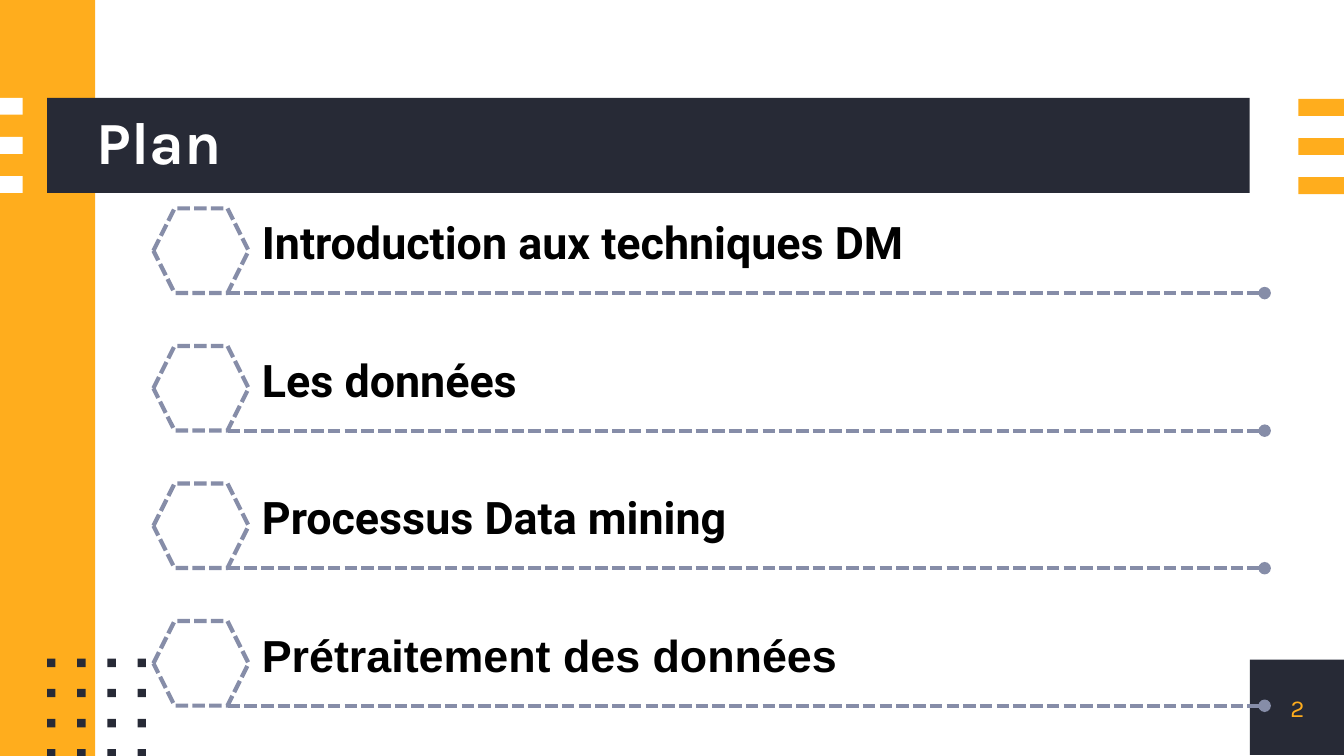
"""Build the course plan slide: a title bar and four dashed topic rows."""
from lxml import etree
from pptx import Presentation
from pptx.dml.color import RGBColor
from pptx.enum.dml import MSO_LINE
from pptx.enum.shapes import MSO_CONNECTOR, MSO_SHAPE
from pptx.enum.text import MSO_ANCHOR, MSO_AUTO_SIZE, PP_ALIGN
from pptx.oxml.ns import qn
from pptx.util import Cm, Pt

RECTANGLE, HEXAGON = MSO_SHAPE.RECTANGLE, MSO_SHAPE.HEXAGON
STRAIGHT = MSO_CONNECTOR.STRAIGHT
DASH = MSO_LINE.SQUARE_DOT
LEFT, CENTER = PP_ALIGN.LEFT, PP_ALIGN.CENTER
TOP, MIDDLE = MSO_ANCHOR.TOP, MSO_ANCHOR.MIDDLE
NO_FIT = MSO_AUTO_SIZE.NONE

NAVY, ORANGE, WHITE, BLACK, SLATE = "272A36", "FFAD1D", "FFFFFF", "000000", "868DA8"

TITLE = "Plan"
NUMBER = "2"
TOPICS = [
    ("Introduction aux techniques DM", "Roboto"),
    ("Les données", "Roboto"),
    ("Processus Data mining", "Roboto"),
    ("Prétraitement des données", "Arial"),
]

WIDTH, HEIGHT = 25.4, 14.29
NUMBER_AREA = (23.62, 12.47, 1.8, 1.8)
TITLE_AREA = (1.83, 1.85, 21.79, 1.8)
PANELS = [
    (NUMBER_AREA, NAVY),
    ((0, 0, 1.8, HEIGHT), ORANGE),
    ((0.89, 1.85, 22.73, 1.8), NAVY),
]
STRIPES = [(0, 1.85, 0.43, WHITE), (24.54, 1.87, 0.86, ORANGE)]
STRIPE_COUNT, STRIPE_HEIGHT, STRIPE_STEP = 3, 0.32, 0.74
DOT_COUNT, DOT_SIZE, DOT_STEP = 4, 0.16, 0.57
DOT_LEFT, DOT_TOP = 0.89, 12.45
ROW_TOP, ROW_STEP = 3.94, 2.6
HEXAGON_LEFT, HEXAGON_WIDTH, HEXAGON_HEIGHT = 2.9, 1.8, 1.6
RULE_LEFT, RULE_RIGHT = 4.3, 23.9
TOPIC_LEFT, TOPIC_WIDTH, TOPIC_HEIGHT = 4.7, 17.6, 1.28


def color(value):
    """Turn a hex string into a colour."""
    return RGBColor.from_string(value)


def lengths(area):
    """Convert a sequence of centimetres to lengths."""
    return [Cm(value) for value in area]


def apply(target, values):
    """Set attributes from a dict of format values."""
    for name, value in values.items():
        setattr(target, name, value)


def add_block(page, area, fill):
    """Add a plain filled rectangle."""
    block = page.shapes.add_shape(RECTANGLE, *lengths(area))
    block.shadow.inherit = False
    block.fill.solid()
    block.fill.fore_color.rgb = color(fill)
    block.line.fill.background()


def dash_line(line):
    """Give a line the dashed slate style."""
    line.color.rgb = color(SLATE)
    apply(line, {"width": Pt(2.25), "dash_style": DASH})


def write(box, text, font, ink, frame=None, para=None):
    """Write one formatted paragraph into a box."""
    apply(box.text_frame, {"word_wrap": True, "auto_size": NO_FIT, **(frame or {})})
    paragraph = box.text_frame.paragraphs[0]
    apply(paragraph, para or {"alignment": LEFT})
    span = paragraph.add_run()
    span.text = text
    apply(span.font, font)
    span.font.color.rgb = color(ink)


def add_decor(page):
    """Add the panels, the side stripes and the dot grid."""
    for area, fill in PANELS:
        add_block(page, area, fill)
    for left, top, width, fill in STRIPES:
        for index in range(STRIPE_COUNT):
            add_block(page, (left, top + index * STRIPE_STEP, width, STRIPE_HEIGHT), fill)
    for row in range(DOT_COUNT):
        for column in range(DOT_COUNT):
            left, top = DOT_LEFT + column * DOT_STEP, DOT_TOP + row * DOT_STEP
            add_block(page, (left, top, DOT_SIZE, DOT_SIZE), NAVY)


def add_topic(page, top, text, font_name):
    """Add a hexagon, a topic and its dotted-end rule."""
    hexagon = page.shapes.add_shape(
        HEXAGON, *lengths((HEXAGON_LEFT, top, HEXAGON_WIDTH, HEXAGON_HEIGHT)))
    hexagon.shadow.inherit = False
    hexagon.fill.background()
    dash_line(hexagon.line)

    box = page.shapes.add_textbox(*lengths((TOPIC_LEFT, top, TOPIC_WIDTH, TOPIC_HEIGHT)))
    write(box, text, {"name": font_name, "size": Pt(24), "bold": True}, BLACK,
          {"vertical_anchor": TOP})

    bottom = top + HEXAGON_HEIGHT
    rule = page.shapes.add_connector(
        STRAIGHT, *lengths((RULE_LEFT, bottom, RULE_RIGHT, bottom)))
    dash_line(rule.line)
    etree.SubElement(rule.line._get_or_add_ln(), qn("a:tailEnd"), type="oval")
    etree.SubElement(rule._element.spPr, qn("a:effectLst"))


def main():
    """Build and save the deck."""
    deck = Presentation()
    apply(deck, {"slide_width": Cm(WIDTH), "slide_height": Cm(HEIGHT)})
    page = deck.slides.add_slide(deck.slide_layouts[5])
    add_decor(page)

    flush = {"vertical_anchor": MIDDLE, "margin_left": 0, "margin_right": 0,
             "margin_top": 0, "margin_bottom": 0}
    title = page.shapes.title
    page.shapes._spTree.append(title._element)
    apply(title, dict(zip(("left", "top", "width", "height"), lengths(TITLE_AREA))))
    write(title, TITLE, {"name": "Karla", "size": Pt(32), "bold": True}, WHITE,
          flush, {"alignment": LEFT, "line_spacing": 0.9})
    number = page.shapes.add_textbox(*lengths(NUMBER_AREA))
    write(number, NUMBER, {"name": "Karla", "size": Pt(13)}, ORANGE,
          flush, {"alignment": CENTER})

    for index, (text, font_name) in enumerate(TOPICS):
        add_topic(page, ROW_TOP + index * ROW_STEP, text, font_name)
    deck.save("out.pptx")


if __name__ == "__main__":
    main()
